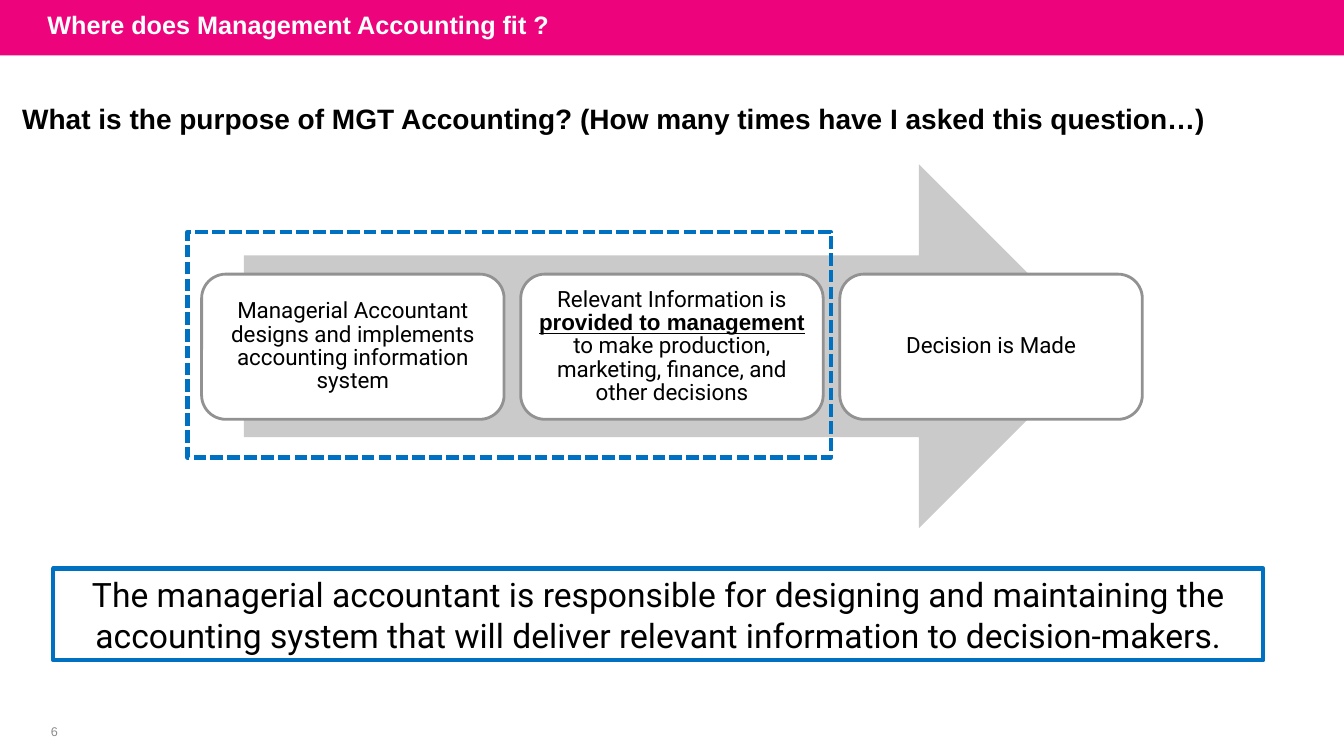
from pptx import Presentation
from pptx.dml.color import RGBColor
from pptx.enum.dml import MSO_LINE
from pptx.enum.shapes import MSO_SHAPE
from pptx.enum.text import MSO_ANCHOR, PP_ALIGN
from pptx.util import Inches, Pt

RECTANGLE = MSO_SHAPE.RECTANGLE
ROUNDED = MSO_SHAPE.ROUNDED_RECTANGLE
ARROW = MSO_SHAPE.RIGHT_ARROW
DASH = MSO_LINE.SQUARE_DOT
MIDDLE = MSO_ANCHOR.MIDDLE
LEFT, CENTER = PP_ALIGN.LEFT, PP_ALIGN.CENTER

PINK, BLUE, WHITE, BLACK = "ED037C", "0070C0", "FFFFFF", "000000"
ARROW_GRAY, BORDER_GRAY, NUMBER_GRAY = "CACACA", "929292", "8C8C8C"

CARD_LEFT, CARD_TOP, CARD_WIDTH, CARD_HEIGHT = 2, 2.72, 3, 1.44
CARD_STEP = 3.165
CARDS = [
    [("Managerial Accountant designs and implements accounting information system", False)],
    [
        ("Relevant Information is ", False),
        ("provided to management", True),
        (" to make production, marketing, finance, and other decisions", False),
    ],
    [("Decision is Made", False)],
]


def add_box(kind, left, top, width, height, fill=None, line=None, weight=0):
    shape = slide.shapes.add_shape(
        kind, Inches(left), Inches(top), Inches(width), Inches(height)
    )
    shape.shadow.inherit = False
    if fill:
        shape.fill.solid()
        shape.fill.fore_color.rgb = RGBColor.from_string(fill)
    else:
        shape.fill.background()
    if line:
        shape.line.color.rgb = RGBColor.from_string(line)
        shape.line.width = Pt(weight)
    else:
        shape.line.fill.background()
    return shape


def write(shape, runs, font, size, color, align, inset):
    frame = shape.text_frame
    frame.word_wrap = True
    frame.vertical_anchor = MIDDLE
    frame.margin_left = frame.margin_right = Inches(inset)
    frame.margin_top = frame.margin_bottom = 0
    paragraph = frame.paragraphs[0]
    paragraph.alignment = align
    for text, strong in runs:
        run = paragraph.add_run()
        run.text = text
        run.font.name = "Arial" if strong else font
        run.font.size = Pt(size)
        run.font.bold = strong
        run.font.color.rgb = RGBColor.from_string(color)
    return paragraph


presentation = Presentation()
presentation.slide_width = Inches(13.33)
presentation.slide_height = Inches(7.5)
slide = presentation.slides.add_slide(presentation.slide_layouts[5])

title = slide.shapes.title
title.left, title.top = Inches(0.37), Inches(-0.03)
title.width, title.height = Inches(10.5), Inches(0.55)
write(title, [("Where does Management Accounting fit ?", True)], "Arial", 18, WHITE, LEFT, 0.1)

band = add_box(RECTANGLE, 0, 0, 13.33, 0.55, PINK)
title._element.addprevious(band._element)

question = slide.shapes.add_textbox(Inches(0.22), Inches(1), Inches(12.2), Inches(0.35))
write(
    question,
    [("What is the purpose of MGT Accounting? (How many times have I asked this question…)", True)],
    "Arial", 20, BLACK, LEFT, 0,
)

add_box(ARROW, 2.42, 1.63, 8.5, 3.61, ARROW_GRAY)

for column, runs in enumerate(CARDS):
    card = add_box(
        ROUNDED, CARD_LEFT + column * CARD_STEP, CARD_TOP, CARD_WIDTH, CARD_HEIGHT,
        WHITE, BORDER_GRAY, 2,
    )
    paragraph = write(card, runs, "Roboto", 16, BLACK, CENTER, 0.08)
    paragraph.line_spacing = Pt(16.6)
    for run in paragraph.runs:
        run.font.underline = run.font.bold

scope = add_box(RECTANGLE, 1.86, 2.3, 6.38, 2.24, None, BLUE, 3)
scope.line.dash_style = DASH

summary = add_box(RECTANGLE, 0.53, 5.64, 12, 0.91, None, BLUE, 3)
write(
    summary,
    [(
        "The managerial accountant is responsible for designing and maintaining the "
        "accounting system that will deliver relevant information to decision-makers.",
        False,
    )],
    "Roboto", 24, BLACK, CENTER, 0.2,
)

number = slide.shapes.add_textbox(Inches(0.28), Inches(7.14), Inches(0.52), Inches(0.24))
write(number, [("6", False)], "Arial", 9, NUMBER_GRAY, CENTER, 0)

presentation.save("out.pptx")
